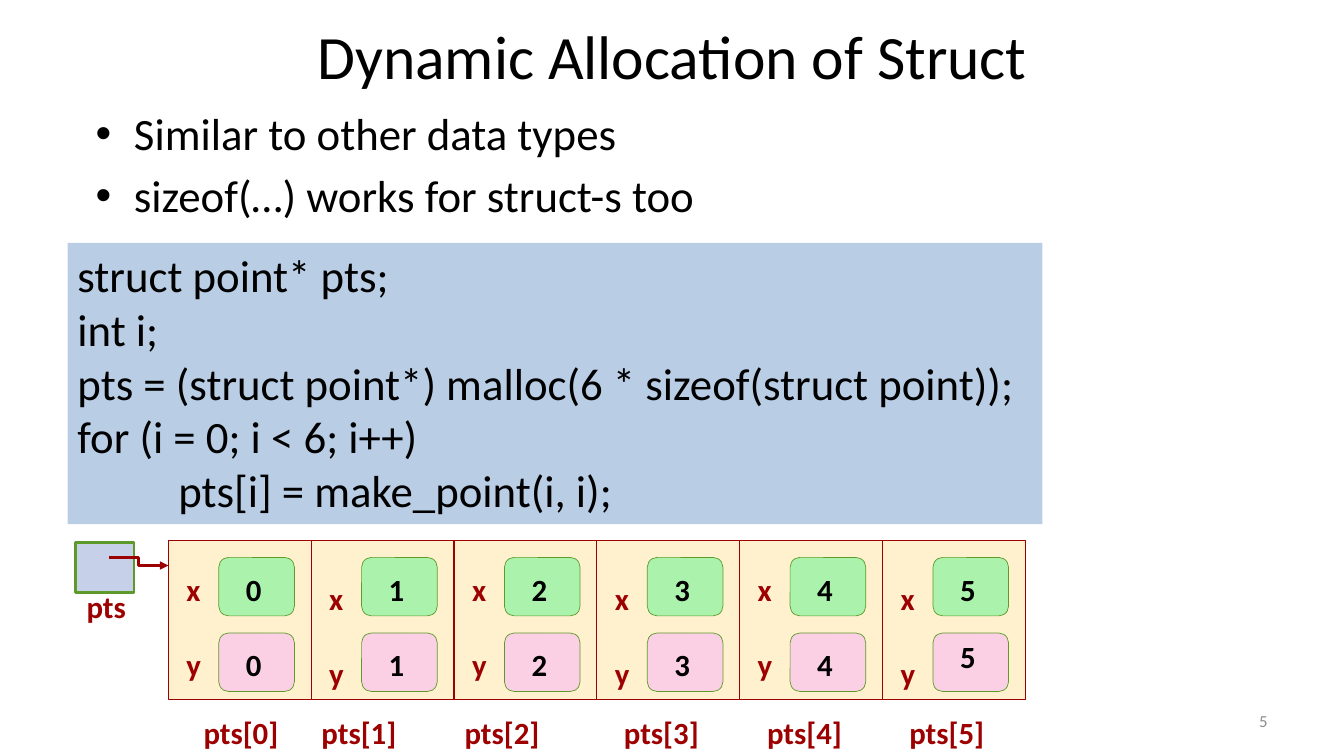
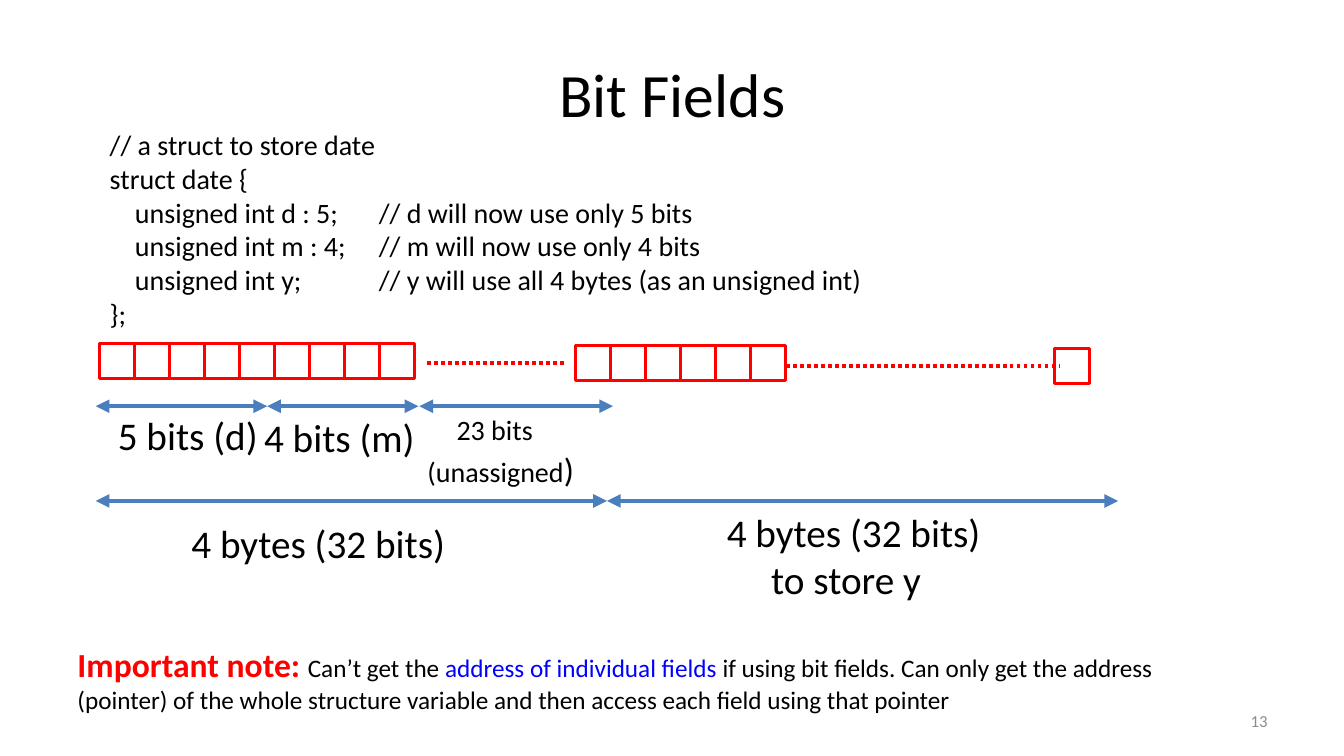
"""Build two slides on dynamic allocation of structs and on bit fields."""
from lxml.etree import SubElement
from pptx import Presentation
from pptx.dml.color import RGBColor
from pptx.enum.dml import MSO_LINE as Dash
from pptx.enum.shapes import MSO_CONNECTOR as Link, MSO_SHAPE as Shape
from pptx.enum.text import MSO_ANCHOR as Anchor, PP_ALIGN as Align
from pptx.oxml.ns import qn
from pptx.util import Inches, Pt

HUES = {
    "black": "000000", "white": "FFFFFF", "grey": "8C8C8C", "code": "B9CDE5",
    "cream": "FFF1CE", "green": "ABF3AD", "pink": "FBD0E4", "lilac": "C7D0E9",
    "leaf": "5D9A2B", "wine": "9D0000", "red": "FF0000", "blue": "0000FF",
    "steel": "4B7EBC",
}
HUES = {name: RGBColor.from_string(code) for name, code in HUES.items()}
FONT = "Calibri"


def text(slide, at, rows, size=22, hue="black", bold=False, align=Align.LEFT,
         anchor=Anchor.TOP, wrap=True, fill=None, gap=0, lead=0, indents=(),
         tabs=(), bullet=None):
    """Add a text box; a row is a string or a list of (string, changes)."""
    box = slide.shapes.add_textbox(*map(Inches, at))
    if fill:
        box.fill.solid()
        box.fill.fore_color.rgb = HUES[fill]
    frame = box.text_frame
    frame.word_wrap = wrap
    frame.vertical_anchor = anchor
    for i, row in enumerate(rows):
        para = frame.paragraphs[0] if i == 0 else frame.add_paragraph()
        para.alignment = align
        para.space_before = Pt(gap if i else lead)
        props = para._p.get_or_add_pPr()
        if indents:
            props.set("marL", str(Inches(indents[i])))
        if bullet:
            props.set("indent", str(-Inches(indents[i])))
            SubElement(props, qn("a:buFont"), typeface="Arial")
            SubElement(props, qn("a:buChar"), char=bullet)
        if tabs:
            stops = SubElement(props, qn("a:tabLst"))
            for tab in tabs:
                SubElement(stops, qn("a:tab"), pos=str(Inches(tab)), algn="l")
        for words, diff in [(row, {})] if isinstance(row, str) else row:
            run = para.add_run()
            run.text = words
            font = run.font
            font.name = FONT
            font.size = Pt(diff.get("size", size))
            font.bold = diff.get("bold", bold)
            font.color.rgb = HUES[diff.get("hue", hue)]


def box(slide, at, fill, edge, width, kind=Shape.RECTANGLE):
    """Add a filled and outlined shape."""
    shape = slide.shapes.add_shape(kind, *map(Inches, at))
    shape.shadow.inherit = False
    shape.fill.solid()
    shape.fill.fore_color.rgb = HUES[fill]
    shape.line.color.rgb = HUES[edge]
    shape.line.width = Pt(width)


deck = Presentation()
deck.slide_width, deck.slide_height = Inches(13.33), Inches(7.5)
blank = deck.slide_layouts[6]
pages = []
for title, at, number in [
    ("Dynamic Allocation of Struct", (2.17, -0.08, 9, 1.25), "5"),
    ("Bit Fields", (0.67, 0.3, 12, 1.25), "13"),
]:
    page = deck.slides.add_slide(blank)
    text(page, at, [title], size=44, align=Align.CENTER, anchor=Anchor.MIDDLE)
    text(page, (9.56, 6.95, 3.11, 0.4), [number], size=12, hue="grey",
         align=Align.RIGHT, anchor=Anchor.MIDDLE)
    pages.append(page)
alloc, bits = pages

text(alloc, (0.85, 1, 9.48, 1.44),
     ["Similar to other data types", "sizeof(…) works for struct-s too"],
     size=32, gap=6, indents=(0.38, 0.38), bullet="•")
text(alloc, (0.67, 2.41, 9.67, 2.79), [
    "struct point* pts;",
    "int i;",
    "pts = (struct point*) malloc(6 * sizeof(struct point));",
    "for (i = 0; i < 6; i++)",
    "\tpts[i] = make_point(i, i);",
], size=32, fill="code", tabs=(1,))

label = dict(hue="wine", bold=True, wrap=False)
pitch = 8.5 / 6
for i, spot in enumerate([1.92, 3.09, 4.51, 6.09, 7.51, 8.92]):
    left = 1.67 + i * pitch
    box(alloc, (left, 5.36, pitch, 1.58), "cream", "wine", 0.75)
    for name, fill, top in [("x", "green", 5.53), ("y", "pink", 6.28)]:
        box(alloc, (left + 0.5, top, 0.75, 0.58), fill, "leaf", 0.5,
            Shape.ROUNDED_RECTANGLE)
        drop = 0.17 if i % 2 else 0.08
        text(alloc, (left + 0.08, top + drop, 0.34, 0.47), [name], **label)
        rise = 0 if (i, name) == (5, "y") else 0.08
        text(alloc, (left + 0.67, top + rise, 0.35, 0.47), [str(i)],
             bold=True, wrap=False)
    text(alloc, (spot, 7.03, 0.95, 0.47), [f"pts[{i}]"], **label)
box(alloc, (0.75, 5.38, 0.58, 0.5), "lilac", "leaf", 2)
text(alloc, (0.76, 5.78, 0.59, 0.47), ["pts"], **label)

text(bits, (0.99, 1.22, 7.77, 2.12), [
    "// a struct to store date",
    "struct date {",
    "\tunsigned int d : 5;\t// d will now use only 5 bits",
    "\tunsigned int m : 4;\t// m will now use only 4 bits",
    "\tunsigned int y;\t// y will use all 4 bytes (as an unsigned int)",
    "};",
], size=20, tabs=(0.25, 2.67))

side = 3.12 / 9
for left, top, count in [(0.99, 3.41, 9), (5.71, 3.43, 6), (10.46, 3.46, 1)]:
    for i in range(count):
        box(bits, (left + i * side, top, side, side), "white", "red", 2)

for at, rows, indents in [
    ((1.07, 4.03, 1.61, 0.57), ["5 bits (d)"], (0,)),
    ((2.52, 4.05, 1.71, 0.57), ["4 bits (m)"], (0,)),
    ((1.8, 5.1, 2.75, 0.57), ["4 bytes (32 bits)"], (0,)),
    ((7.11, 4.99, 2.75, 1.04), ["4 bytes (32 bits)", "to store y"], (0, 0.44)),
]:
    text(bits, at, rows, size=28, wrap=False, indents=indents)
text(bits, (3.82, 4.04, 2.26, 0.88),
     ["23 bits", [("(unassigned", {}), (")", {"size": 24})]],
     size=20, gap=2, indents=(0.61, 0.32))
text(bits, (0.67, 6.34, 11.21, 0.81), [[
    ("Important note: ", {"size": 24, "hue": "red", "bold": True}),
    ("Can’t get the ", {}),
    ("address of individual fields ", {"hue": "blue"}),
    ("if using bit fields. Can only get the address (pointer) of the whole "
     "structure variable and then access each field using that pointer", {}),
]], size=18)

arrow = ("steel", 3.25, None, ("headEnd", "tailEnd"))
dots = ("red", 2.5, Dash.ROUND_DOT, ())
for page, kind, ends, (hue, width, dash, tips) in [
    (alloc, Link.ELBOW, (1.08, 5.53, 1.67, 5.61),
     ("wine", 2, None, ("tailEnd",))),
    (bits, Link.STRAIGHT, (4.24, 3.6, 5.6, 3.6), dots),
    (bits, Link.STRAIGHT, (7.8, 3.63, 10.51, 3.63), dots),
    (bits, Link.STRAIGHT, (0.95, 4.03, 2.65, 4.03), arrow),
    (bits, Link.STRAIGHT, (2.65, 4.03, 4.15, 4.03), arrow),
    (bits, Link.STRAIGHT, (4.16, 4.03, 6.08, 4.03), arrow),
    (bits, Link.STRAIGHT, (0.95, 4.97, 6.02, 4.97), arrow),
    (bits, Link.STRAIGHT, (6.02, 4.97, 11.09, 4.97), arrow),
]:
    link = page.shapes.add_connector(kind, *map(Inches, ends))
    link.line.color.rgb = HUES[hue]
    link.line.width = Pt(width)
    if dash:
        link.line.dash_style = dash
    for tip in tips:
        SubElement(link.line._get_or_add_ln(), qn(f"a:{tip}"), type="triangle")
    SubElement(link._element.spPr, qn("a:effectLst"))

deck.save("out.pptx")
